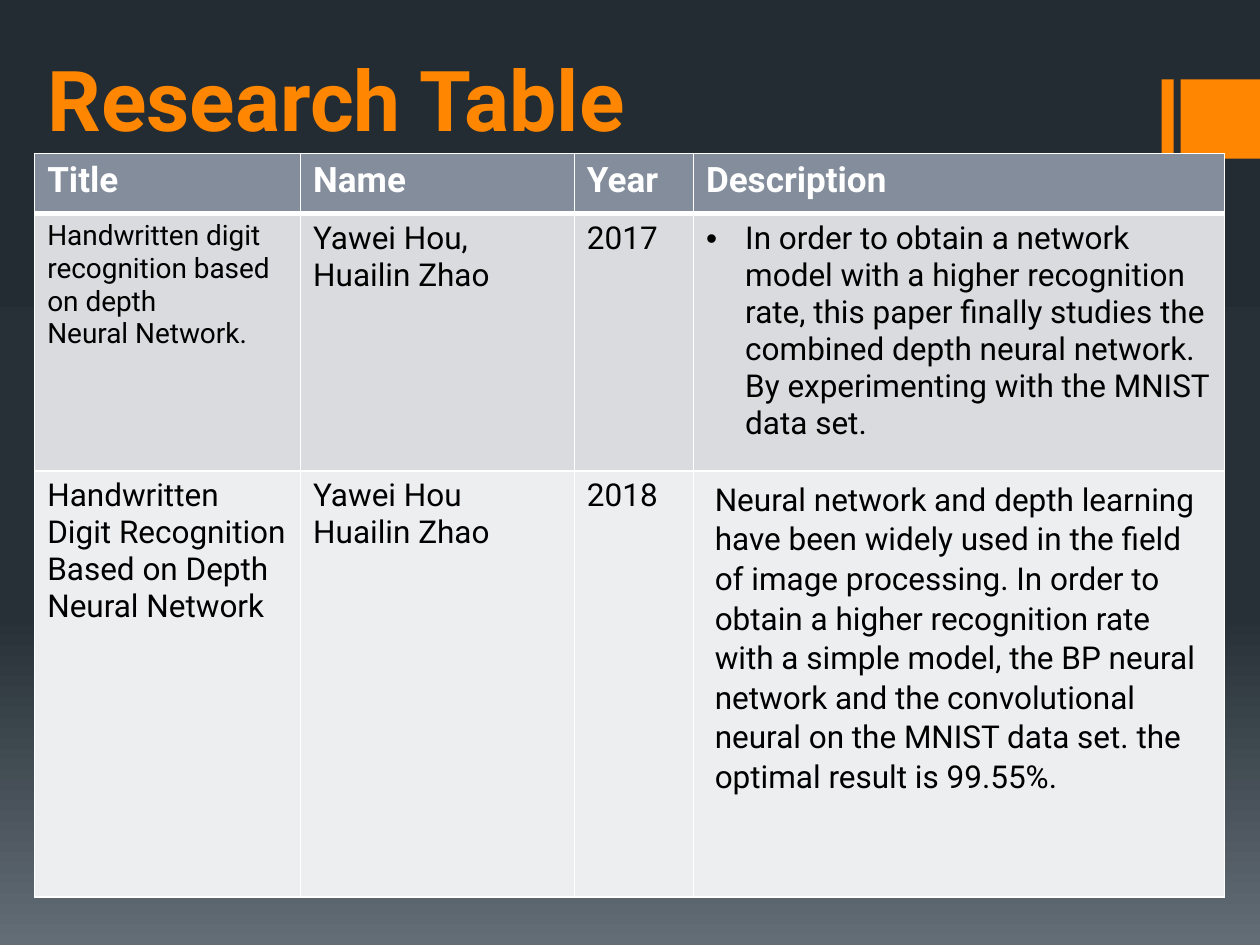
from copy import deepcopy

from lxml import etree
from pptx import Presentation
from pptx.dml.color import RGBColor
from pptx.enum.shapes import MSO_SHAPE
from pptx.enum.text import MSO_ANCHOR, MSO_AUTO_SIZE, PP_ALIGN
from pptx.oxml.ns import qn
from pptx.util import Cm, Pt

RECTANGLE = MSO_SHAPE.RECTANGLE
BOTTOM = MSO_ANCHOR.BOTTOM
LEFT = PP_ALIGN.LEFT
NO_AUTOFIT = MSO_AUTO_SIZE.NONE

FONT = "Roboto"
ORANGE = RGBColor(0xFF, 0x86, 0x00)
WHITE = RGBColor(0xFF, 0xFF, 0xFF)
BLACK = RGBColor(0x00, 0x00, 0x00)
HEADER_FILL = RGBColor(0x83, 0x8D, 0x9B)
ROW_FILLS = [HEADER_FILL, RGBColor(0xD9, 0xDB, 0xDE), RGBColor(0xED, 0xEE, 0xEF)]
BACKGROUND_STOPS = [
    (0, RGBColor(0x24, 0x2C, 0x33)),
    (0.65, RGBColor(0x27, 0x30, 0x37)),
    (1, RGBColor(0x63, 0x6D, 0x76)),
]

COLUMN_WIDTHS = [5.36, 5.52, 2.4, 10.71]
ROW_HEIGHTS = [1.22, 5.18, 8.59]
ROWS = [
    ["Title", "Name", "Year", "Description"],
    [
        "Handwritten digit recognition based on depth\nNeural Network.",
        "Yawei Hou,\nHuailin Zhao",
        "2017",
        "In order to obtain a network model with a higher recognition rate, "
        "this paper finally studies the combined depth neural network. "
        "By experimenting with the MNIST data set.",
    ],
    [
        "Handwritten Digit Recognition Based on Depth Neural Network",
        "Yawei Hou\nHuailin Zhao",
        "2018",
        "Neural network and depth learning have been widely used in the field "
        "of image processing. In order to obtain a higher recognition rate with "
        "a simple model, the BP neural network and the convolutional neural on "
        "the MNIST data set. the optimal result is 99.55%.",
    ],
]


def set_attributes(target, values):
    """Set every attribute named in a dict of format values."""
    for name, value in values.items():
        setattr(target, name, value)


def format_font(font, size, color, bold):
    """Give a font its face, size, colour and weight."""
    set_attributes(font, {"name": FONT, "size": Pt(size), "bold": bold})
    font.color.rgb = color


def paint_background(slide):
    """Fill the background with a vertical three-stop gradient."""
    fill = slide.background.fill
    fill.gradient()
    fill.gradient_angle = 270
    stop_list = next(slide.element.iter(qn("a:gsLst")))
    stop_list.append(deepcopy(stop_list[-1]))
    for stop, (position, color) in zip(fill.gradient_stops, BACKGROUND_STOPS):
        stop.position = position
        stop.color.rgb = color


def add_accent(slide, left, top, size):
    """Draw a square with a thin bar to its left."""
    for offset, width in ((0, 0.24), (0.38, size)):
        shape = slide.shapes.add_shape(
            RECTANGLE, Cm(left + offset), Cm(top), Cm(width), Cm(size)
        )
        shape.shadow.inherit = False
        shape.fill.solid()
        shape.fill.fore_color.rgb = ORANGE
        shape.line.fill.background()


def place_title(slide, left, top, width, height):
    """Position the title placeholder and write the heading."""
    title = slide.shapes.title
    set_attributes(title, {
        "left": Cm(left), "top": Cm(top), "width": Cm(width), "height": Cm(height),
    })
    title.text = "Research Table"
    set_attributes(title.text_frame, {
        "auto_size": NO_AUTOFIT, "vertical_anchor": BOTTOM, "word_wrap": True,
    })
    paragraph = title.text_frame.paragraphs[0]
    paragraph.alignment = LEFT
    format_font(paragraph.runs[0].font, 48, ORANGE, True)


def set_border(cell, side, width):
    """Draw one white border of a cell."""
    properties = cell._tc.get_or_add_tcPr()
    line = etree.SubElement(properties, qn(f"a:ln{side}"), w=str(Pt(width)))
    fill = etree.SubElement(line, qn("a:solidFill"))
    etree.SubElement(fill, qn("a:srgbClr"), val=str(WHITE))


def fill_cell(cell, text, row_index, size):
    """Write and format one cell of the table."""
    is_header = row_index == 0
    widths = {"L": 1, "R": 1, "T": 3 if row_index == 1 else 1, "B": 3 if is_header else 1}
    for side, width in widths.items():
        set_border(cell, side, width)
    cell.fill.solid()
    cell.fill.fore_color.rgb = ROW_FILLS[row_index]
    cell.text = text
    for paragraph in cell.text_frame.paragraphs:
        format_font(paragraph.runs[0].font, size, WHITE if is_header else BLACK, is_header)


def add_bullet(paragraph, indent):
    """Give a paragraph a round bullet with a hanging indent."""
    properties = paragraph._p.get_or_add_pPr()
    properties.set("marL", str(Cm(indent)))
    properties.set("indent", str(-Cm(indent)))
    etree.SubElement(properties, qn("a:buFont"), typeface="Arial")
    etree.SubElement(properties, qn("a:buChar"), char="•")


def space_description(cell):
    """Set the looser margins and spacing of the last description."""
    margins = ("margin_left", "margin_top", "margin_right", "margin_bottom")
    set_attributes(cell, dict.fromkeys(margins, Cm(0.18)))
    paragraph = cell.text_frame.paragraphs[0]
    set_attributes(paragraph, {
        "line_spacing": 1.07, "space_before": Pt(15), "space_after": Pt(15),
    })
    paragraph._p.get_or_add_pPr().set("marL", str(Cm(0.25)))


def add_research_table(slide, left, top):
    """Build the table of research papers."""
    table = slide.shapes.add_table(
        len(ROWS), len(COLUMN_WIDTHS), Cm(left), Cm(top),
        Cm(sum(COLUMN_WIDTHS)), Cm(sum(ROW_HEIGHTS)),
    ).table
    for column, width in zip(table.columns, COLUMN_WIDTHS):
        column.width = Cm(width)
    for row, height in zip(table.rows, ROW_HEIGHTS):
        row.height = Cm(height)
    sizes = {0: 20, 1: 18, 2: 18}
    for row_index, texts in enumerate(ROWS):
        for column_index, text in enumerate(texts):
            size = 16 if (row_index, column_index) == (1, 0) else sizes[row_index]
            fill_cell(table.cell(row_index, column_index), text, row_index, size)
    add_bullet(table.cell(1, 3).text_frame.paragraphs[0], 0.79)
    space_description(table.cell(2, 3))


def main():
    """Build the presentation and save it."""
    presentation = Presentation()
    set_attributes(presentation, {"slide_width": Cm(25.4), "slide_height": Cm(19.05)})
    slide = presentation.slides.add_slide(presentation.slide_layouts.get_by_name("Title Only"))
    paint_background(slide)
    add_accent(slide, 23.42, 1.6, 1.6)
    place_title(slide, 0.71, -0.08, 20.32, 3.2)
    add_research_table(slide, 0.7, 3.09)
    presentation.save("out.pptx")


if __name__ == "__main__":
    main()
